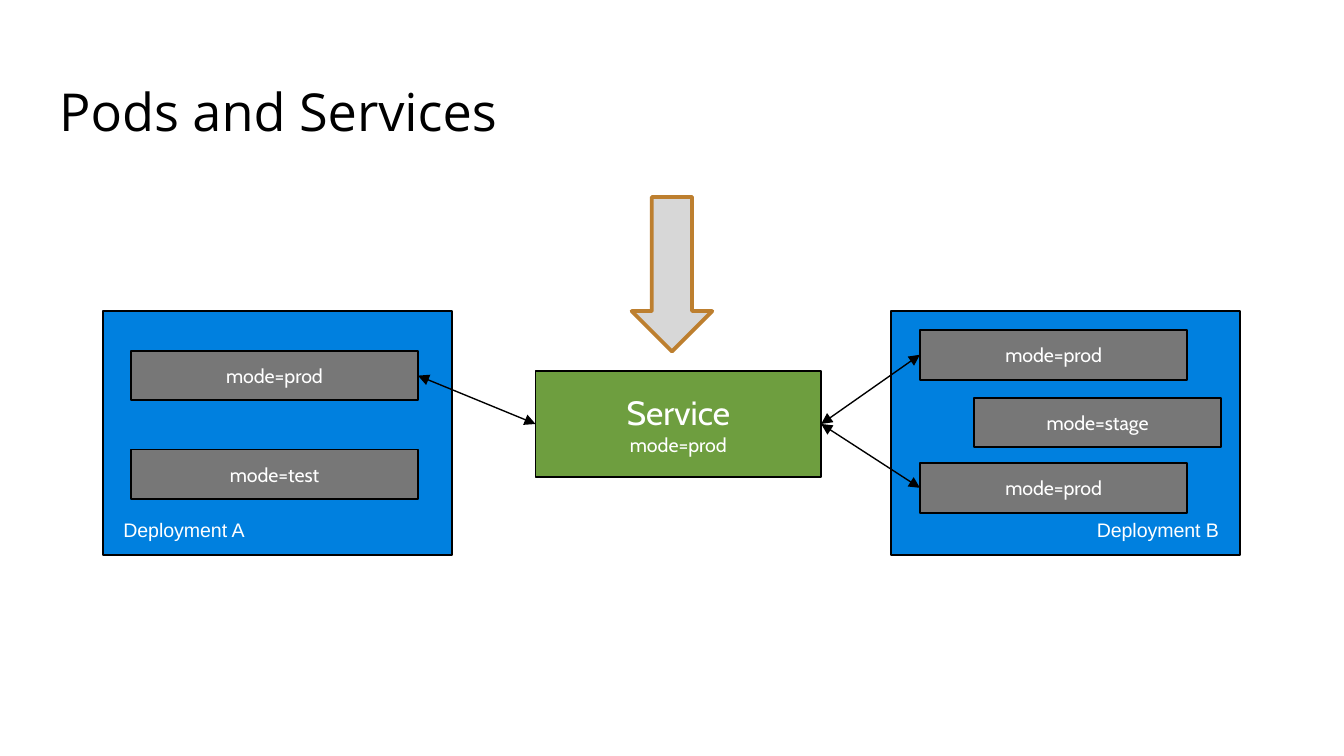
from dataclasses import dataclass

from lxml import etree
from pptx import Presentation
from pptx.dml.color import RGBColor
from pptx.enum.shapes import MSO_CONNECTOR, MSO_SHAPE
from pptx.enum.text import MSO_ANCHOR, MSO_AUTO_SIZE, PP_ALIGN
from pptx.oxml.ns import qn
from pptx.util import Pt

PX = 4572
RECT, DOWN = MSO_SHAPE.RECTANGLE, MSO_SHAPE.DOWN_ARROW
STRAIGHT = MSO_CONNECTOR.STRAIGHT
LEFT, CENTER, RIGHT = PP_ALIGN.LEFT, PP_ALIGN.CENTER, PP_ALIGN.RIGHT
MIDDLE = MSO_ANCHOR.MIDDLE
FIXED, GROW = MSO_AUTO_SIZE.NONE, MSO_AUTO_SIZE.SHAPE_TO_FIT_TEXT
WEST, EAST = 1, 3
POD_H = 74


@dataclass(frozen=True)
class Theme:
    """Colours, fonts and type sizes."""

    ink: str = "000000"
    paper: str = "FFFFFF"
    panel: str = "0080DF"
    pod: str = "777777"
    service: str = "6E9E3F"
    arrow: str = "D7D7D7"
    edge: str = "BD7F2F"
    head: str = "Open Sans"
    body: str = "Cabin"
    label: str = "Arial"
    large: float = 28
    medium: float = 18
    small: float = 10.5


THEME = Theme()


def scale(*sizes):
    """Turn px into EMU."""
    return [size * PX for size in sizes]


def style(para, font, size, color, align):
    """Format the runs of a paragraph."""
    para.alignment = align
    for run in para.runs:
        run.font.name = font
        run.font.size = Pt(size)
        run.font.color.rgb = RGBColor.from_string(color)


def block(slide, box, fill, kind=RECT, line=THEME.ink, width=1):
    """Draw a filled, outlined shape."""
    shape = slide.shapes.add_shape(kind, *scale(*box))
    shape.shadow.inherit = False
    shape.fill.solid()
    shape.fill.fore_color.rgb = RGBColor.from_string(fill)
    shape.line.color.rgb = RGBColor.from_string(line)
    shape.line.width = Pt(width)
    return shape


def card(slide, box, fill, text, sizes):
    """Draw a block with centred lines of text."""
    shape = block(slide, box, fill)
    frame = shape.text_frame
    frame.text = text
    frame.vertical_anchor = MIDDLE
    for para, size in zip(frame.paragraphs, sizes):
        style(para, THEME.body, size, THEME.paper, CENTER)
    return shape


def title(slide, box, text):
    """Place and format the title."""
    shape = slide.shapes.title
    shape.left, shape.top, shape.width, shape.height = scale(*box)
    frame = shape.text_frame
    frame.text = text
    frame.auto_size = FIXED
    frame.vertical_anchor = MIDDLE
    frame.margin_left = frame.margin_right = 20 * PX
    frame.margin_top = frame.margin_bottom = 20 * PX
    style(frame.paragraphs[0], THEME.head, THEME.large, THEME.ink, LEFT)


def group(slide, box, pods):
    """Draw a deployment panel and return its pods."""
    left, top = box[:2]
    block(slide, box, THEME.panel)
    return [
        card(slide, (left + x, top + y, width, POD_H), THEME.pod, text, [THEME.small])
        for x, y, width, text in pods
    ]


def label(slide, box, text, align):
    """Name a deployment in the lower corner of its panel."""
    left, top, width, height = box
    wide, high = 226, 56
    x = left + 11 if align == LEFT else left + width - wide - 12
    shape = slide.shapes.add_textbox(*scale(x, top + height - high - 9, wide, high))
    frame = shape.text_frame
    frame.text = text
    frame.word_wrap = False
    frame.auto_size = GROW
    style(frame.paragraphs[0], THEME.label, THEME.small, THEME.paper, align)


def link(slide, start, end, side, far):
    """Join two shapes with a double-headed line."""
    line = slide.shapes.add_connector(STRAIGHT, 0, 0, 0, 0)
    line.begin_connect(start, side)
    line.end_connect(end, far)
    line.line.color.rgb = RGBColor.from_string(THEME.ink)
    line.line.width = Pt(0.75)
    props = line._element.spPr
    for tag in ("a:headEnd", "a:tailEnd"):
        etree.SubElement(props.find(qn("a:ln")), qn(tag), type="triangle")
    etree.SubElement(props, qn("a:effectLst"))


def main():
    """Build and save the slide."""
    deck = Presentation()
    deck.slide_width, deck.slide_height = scale(2000, 1125)
    slide = deck.slides.add_slide(deck.slide_layouts[5])
    title(slide, (68, 98, 1680, 134), "Pods and Services")

    east, west = (1326, 463, 520, 363), (153, 463, 520, 363)
    right = group(slide, east, [
        (43, 28, 398, "mode=prod"),
        (124, 129, 367, "mode=stage"),
        (43, 226, 398, "mode=prod"),
    ])
    service = card(slide, (797, 552, 425, 158), THEME.service,
                   "Service\nmode=prod", [THEME.medium, THEME.small])
    left = group(slide, west, [
        (42, 59, 427, "mode=prod"),
        (42, 206, 427, "mode=test"),
    ])

    link(slide, service, left[0], WEST, EAST)
    for pod in right[::2]:
        link(slide, service, pod, EAST, WEST)
    label(slide, west, "Deployment A", LEFT)
    label(slide, east, "Deployment B", RIGHT)
    block(slide, (940, 293, 120, 230), THEME.arrow, DOWN, THEME.edge, 2)
    deck.save("out.pptx")


if __name__ == "__main__":
    main()
